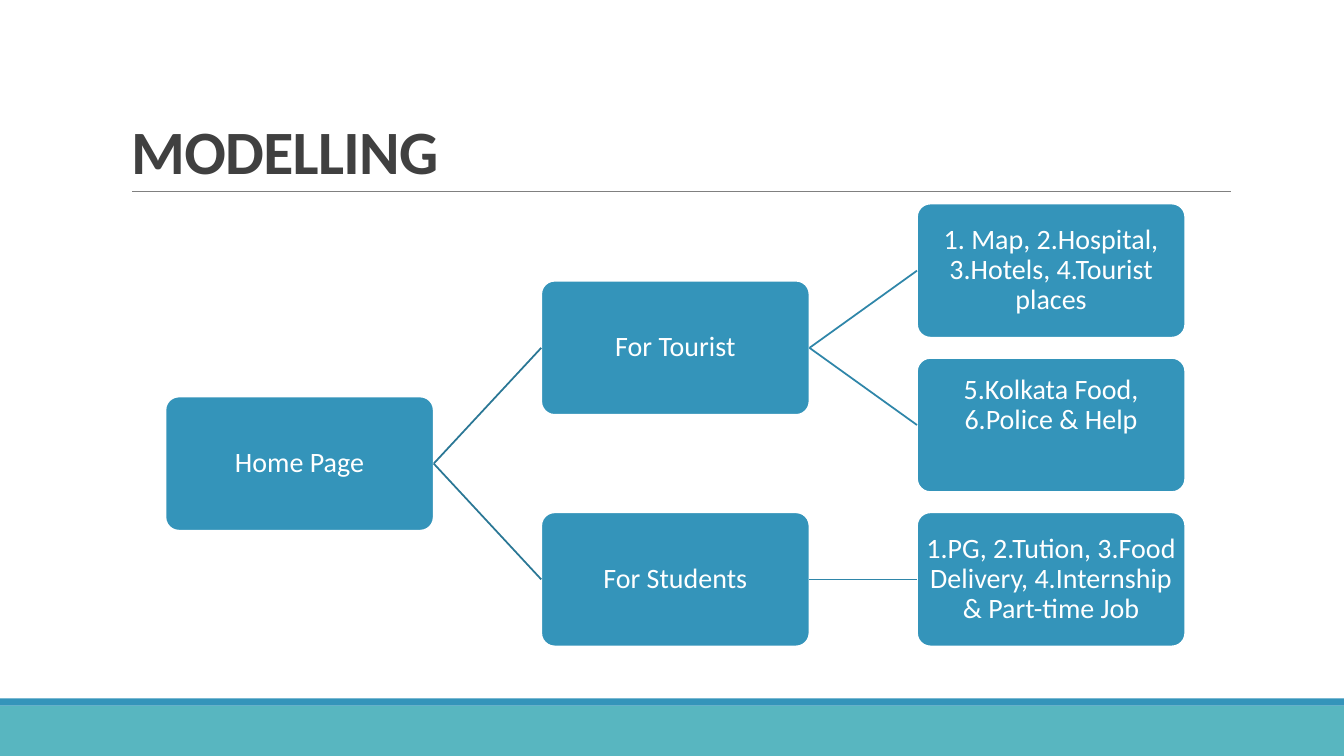
from dataclasses import dataclass

from lxml import etree
from pptx import Presentation
from pptx.dml.color import RGBColor
from pptx.enum.shapes import MSO_CONNECTOR, MSO_SHAPE
from pptx.enum.text import MSO_ANCHOR, MSO_AUTO_SIZE, PP_ALIGN
from pptx.oxml.ns import qn
from pptx.util import Cm, Pt

RECT = MSO_SHAPE.RECTANGLE
ROUNDED = MSO_SHAPE.ROUNDED_RECTANGLE
STRAIGHT = MSO_CONNECTOR.STRAIGHT
LEFT_SIDE, RIGHT_SIDE = 1, 3
TITLE_ONLY = 5


@dataclass(frozen=True)
class Theme:
    font: str = "Calibri"
    title_size: float = 44
    node_size: float = 20
    title: str = "404040"
    node: str = "3494BA"
    footer: str = "58B6C0"
    white: str = "FFFFFF"
    rule: str = "808080"
    branches: tuple = ("2A7795", "2F86A9")
    branch_width: float = 1.25
    rule_width: float = 0.5


THEME = Theme()

SLIDE_WIDTH, SLIDE_HEIGHT = 33.87, 19.05
NODE_WIDTH, NODE_HEIGHT = 6.76, 3.38
TREE_LEFT, TREE_TOP = 4.17, 5.13
COLUMN_STEP, ROW_STEP = 9.47, 3.89
NODE_INSET = 0.13

# Each page: label, space kept free below the text in cm, pages below it
SITE_MAP = ("Home Page", 0, [
    ("For Tourist", 0, [
        ("1. Map, 2.Hospital, 3.Hotels, 4.Tourist places", 0, []),
        ("5.Kolkata Food, 6.Police & Help", 1, []),
    ]),
    ("For Students", 0, [
        ("1.PG, 2.Tution, 3.Food Delivery, 4.Internship & Part-time Job", 0, []),
    ]),
])


def rgb(value):
    return RGBColor.from_string(value)


def add_run(paragraph, text, size, color, bold=False):
    run = paragraph.add_run()
    run.text = text
    run.font.name = THEME.font
    run.font.size = Pt(size)
    run.font.bold = bold
    run.font.color.rgb = rgb(color)
    return run


def add_band(slide, top, height, color):
    band = slide.shapes.add_shape(RECT, 0, Cm(top), Cm(SLIDE_WIDTH), Cm(height))
    band.shadow.inherit = False
    band.fill.solid()
    band.fill.fore_color.rgb = rgb(color)
    band.line.fill.background()


def add_line(slide, color, width, start=(0, 0), end=(0, 0)):
    line = slide.shapes.add_connector(STRAIGHT, *map(Cm, start + end))
    line.line.color.rgb = rgb(color)
    line.line.width = Pt(width)
    etree.SubElement(line._element.spPr, qn("a:effectLst"))
    return line


def add_title(slide, text):
    title = slide.shapes.title
    title.left, title.top, title.width, title.height = map(Cm, (3.05, 0.79, 27.94, 4.04))
    frame = title.text_frame
    frame.auto_size = MSO_AUTO_SIZE.NONE
    frame.vertical_anchor = MSO_ANCHOR.BOTTOM
    paragraph = frame.paragraphs[0]
    paragraph.alignment = PP_ALIGN.LEFT
    paragraph.line_spacing = 0.85
    run = add_run(paragraph, text, THEME.title_size, THEME.title, bold=True)
    run.font._element.set("spc", "-50")


def add_node(slide, label, column, row, space_below):
    node = slide.shapes.add_shape(
        ROUNDED, Cm(TREE_LEFT + column * COLUMN_STEP), Cm(TREE_TOP + row * ROW_STEP),
        Cm(NODE_WIDTH), Cm(NODE_HEIGHT))
    node.adjustments[0] = 0.1
    node.shadow.inherit = False
    node.fill.solid()
    node.fill.fore_color.rgb = rgb(THEME.node)
    node.line.color.rgb = rgb(THEME.white)
    node.line.width = Pt(THEME.branch_width)
    frame = node.text_frame
    frame.word_wrap = True
    frame.vertical_anchor = MSO_ANCHOR.MIDDLE
    frame.margin_left = frame.margin_right = frame.margin_top = Cm(NODE_INSET)
    frame.margin_bottom = Cm(NODE_INSET + space_below)
    paragraph = frame.paragraphs[0]
    paragraph.alignment = PP_ALIGN.CENTER
    paragraph.line_spacing = 0.9
    add_run(paragraph, label, THEME.node_size, THEME.white)
    return node


def add_branch(slide, parent, child, column):
    branch = add_line(slide, THEME.branches[column], THEME.branch_width)
    branch.begin_connect(parent, RIGHT_SIDE)
    branch.end_connect(child, LEFT_SIDE)


def add_tree(slide, page, column=0, next_row=0):
    """Draw a page centred on its subpages; return its node, row and next free row."""
    label, space_below, subpages = page
    children, rows = [], []
    for subpage in subpages:
        child, row, next_row = add_tree(slide, subpage, column + 1, next_row)
        children.append(child)
        rows.append(row)
    if not subpages:
        rows, next_row = [next_row], next_row + 1
    row = (rows[0] + rows[-1]) / 2
    node = add_node(slide, label, column, row, space_below)
    for child in children:
        add_branch(slide, node, child, column)
    return node, row, next_row


def main():
    presentation = Presentation()
    presentation.slide_width = Cm(SLIDE_WIDTH)
    presentation.slide_height = Cm(SLIDE_HEIGHT)
    slide = presentation.slides.add_slide(presentation.slide_layouts[TITLE_ONLY])
    add_band(slide, 17.78, 1.27, THEME.footer)
    add_band(slide, 17.6, 0.18, THEME.node)
    add_line(slide, THEME.rule, THEME.rule_width, (3.33, 4.83), (31.01, 4.83))
    add_title(slide, "MODELLING")
    add_tree(slide, SITE_MAP)
    presentation.save("out.pptx")


if __name__ == "__main__":
    main()
